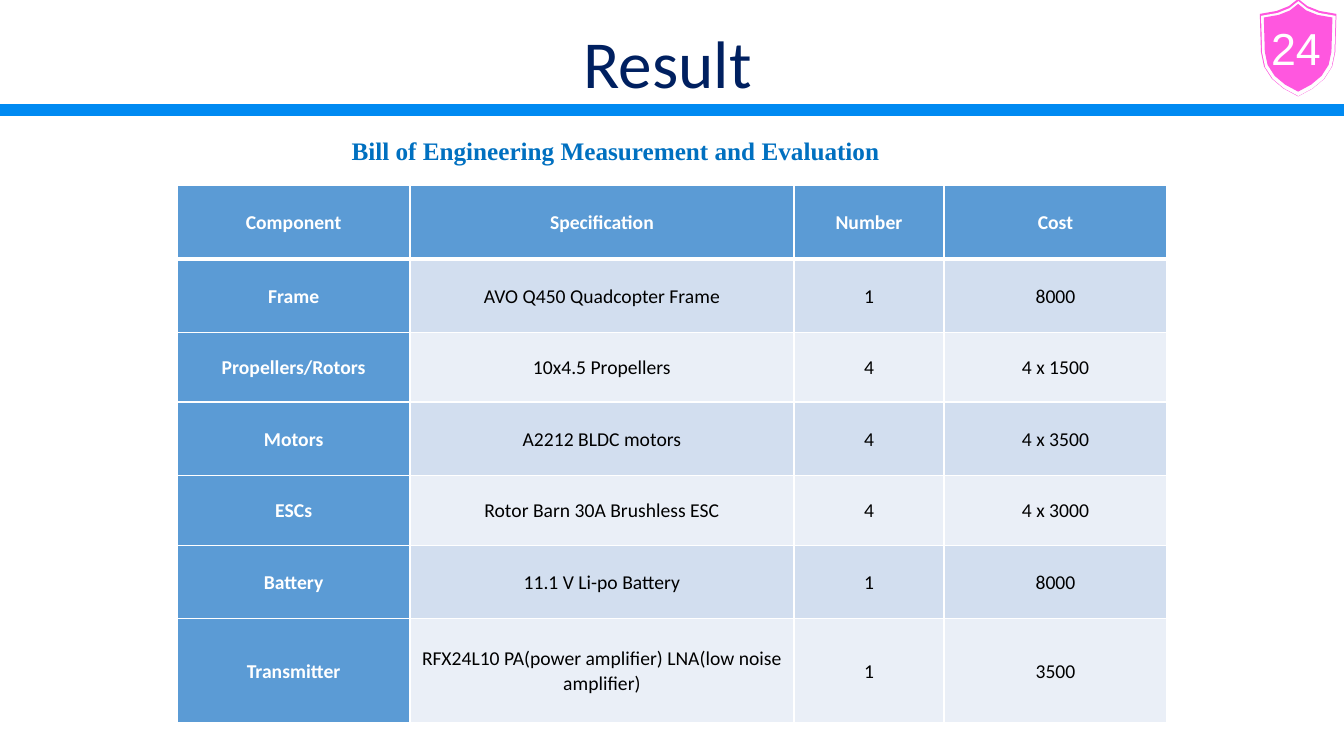
from lxml import etree
from pptx import Presentation
from pptx.dml.color import RGBColor
from pptx.enum.shapes import MSO_SHAPE
from pptx.enum.text import MSO_ANCHOR, MSO_AUTO_SIZE, PP_ALIGN
from pptx.oxml.ns import qn
from pptx.util import Cm, Pt

NAVY = RGBColor(0x00, 0x20, 0x60)
BLUE = RGBColor(0x00, 0x70, 0xC0)
BAR = RGBColor(0x00, 0x8A, 0xF2)
PINK = RGBColor(0xFF, 0x57, 0xDF)
OFF_WHITE = RGBColor(0xFE, 0xFE, 0xFE)
WHITE = RGBColor(0xFF, 0xFF, 0xFF)
BLACK = RGBColor(0x00, 0x00, 0x00)
HEADER = RGBColor(0x5B, 0x9B, 0xD5)
BANDS = [RGBColor(0xEA, 0xEF, 0xF7), RGBColor(0xD2, 0xDE, 0xEF)]


def set_text(tf, text, align, color, **font):
    p = tf.paragraphs[0]
    p.alignment = align
    r = p.add_run()
    r.text = text
    r.font.color.rgb = color
    for name, value in font.items():
        setattr(r.font, name, value)
    return p


def set_borders(cell, widths):
    tc_pr = cell._tc.get_or_add_tcPr()
    for side, width in widths.items():
        ln = etree.SubElement(tc_pr, qn(f"a:ln{side}"), w=str(Pt(width)))
        fill = etree.SubElement(ln, qn("a:solidFill"))
        etree.SubElement(fill, qn("a:srgbClr"), val=str(WHITE))


prs = Presentation()
prs.slide_width, prs.slide_height = Cm(33.87), Cm(19.05)
s = prs.slides.add_slide(prs.slide_layouts[5])

# Title
title = s.shapes.title
box = {"left": Cm(14.45), "top": Cm(0.41), "width": Cm(4.95), "height": Cm(2.31)}
for name, value in box.items():
    setattr(title, name, value)
title.text_frame.auto_size = MSO_AUTO_SIZE.NONE
title.text_frame.vertical_anchor = MSO_ANCHOR.TOP
set_text(title.text_frame, "Result", PP_ALIGN.LEFT, NAVY,
         name="Calibri", size=Pt(48))

# Shield: right half of the outline, mirrored for the left half
right = [(500, 0), (620, 75), (780, 125), (1000, 155), (985, 545),
         (945, 695), (842, 820), (690, 920), (500, 1000)]
outline = right + [(1000 - x, y) for x, y in reversed(right[1:-1])]

shield_layers = [
    (31.75, -0.03, 1.93, 2.46, PINK),
    (31.78, 0.03, 1.88, 2.39, OFF_WHITE),
    (31.85, 0.1, 1.73, 2.21, PINK),
]
for x, y, w, h, color in shield_layers:
    builder = s.shapes.build_freeform(*outline[0], scale=(Cm(w) / 1000, Cm(h) / 1000))
    builder.add_line_segments(outline[1:], close=True)
    sp = builder.convert_to_shape(Cm(x), Cm(y))
    sp.shadow.inherit = False
    sp.fill.solid()
    sp.fill.fore_color.rgb = color
    sp.line.fill.background()

# Slide number and table heading
labels = [
    ("24", (31.34, 0.41, 2.64, 1.63), PP_ALIGN.CENTER, WHITE,
     {"name": "Arial", "size": Pt(32)}),
    ("Bill of Engineering Measurement and Evaluation", (8.61, 3.28, 16.64, 1.02),
     PP_ALIGN.LEFT, BLUE, {"name": "Times New Roman", "size": Pt(18), "bold": True}),
]
for text, place, align, color, font in labels:
    tf = s.shapes.add_textbox(*map(Cm, place)).text_frame
    tf.word_wrap = True
    set_text(tf, text, align, color, **font)

# Bill table
rows = [
    ("Component", "Specification", "Number", "Cost"),
    ("Frame", "AVO Q450 Quadcopter Frame", "1", "8000"),
    ("Propellers/Rotors", "10x4.5 Propellers", "4", "4 x 1500"),
    ("Motors", "A2212 BLDC motors", "4", "4 x 3500"),
    ("ESCs", "Rotor Barn 30A Brushless ESC", "4", "4 x 3000"),
    ("Battery", "11.1 V Li-po Battery", "1", "8000"),
    ("Transmitter", "RFX24L10 PA(power amplifier) LNA(low noise amplifier)",
     "1", "3500"),
]
col_widths = [5.86, 9.68, 3.78, 5.62]
row_heights = [1.85, 1.85, 1.76, 1.85, 1.76, 1.85, 2.62]
table = s.shapes.add_table(len(rows), len(col_widths), Cm(4.47), Cm(4.67),
                           Cm(sum(col_widths)), Cm(sum(row_heights))).table
table.first_col = True
for col, width in zip(table.columns, col_widths):
    col.width = Cm(width)
for row, height in zip(table.rows, row_heights):
    row.height = Cm(height)

cell_format = {
    "vertical_anchor": MSO_ANCHOR.MIDDLE,
    "margin_left": Cm(0.18), "margin_right": Cm(0.18),
    "margin_top": 0, "margin_bottom": 0,
}
for i, values in enumerate(rows):
    for j, text in enumerate(values):
        cell = table.cell(i, j)
        heading = i == 0 or j == 0
        for name, value in cell_format.items():
            setattr(cell, name, value)
        set_borders(cell, {"L": 1, "R": 1, "T": 3 if i == 1 else 1,
                           "B": 3 if i == 0 else 1})
        cell.fill.solid()
        cell.fill.fore_color.rgb = HEADER if heading else BANDS[i % 2]
        p = set_text(cell.text_frame, text, PP_ALIGN.CENTER,
                     WHITE if heading else BLACK,
                     name="Calibri", size=Pt(14), bold=heading)
        p.line_spacing = 1.07

# Bar under the title
bar = s.shapes.add_shape(MSO_SHAPE.RECTANGLE, 0, Cm(2.64), prs.slide_width, Cm(0.28))
bar.shadow.inherit = False
bar.fill.solid()
bar.fill.fore_color.rgb = BAR
bar.line.color.rgb = BAR
bar.line.width = Pt(1)

prs.save("out.pptx")
